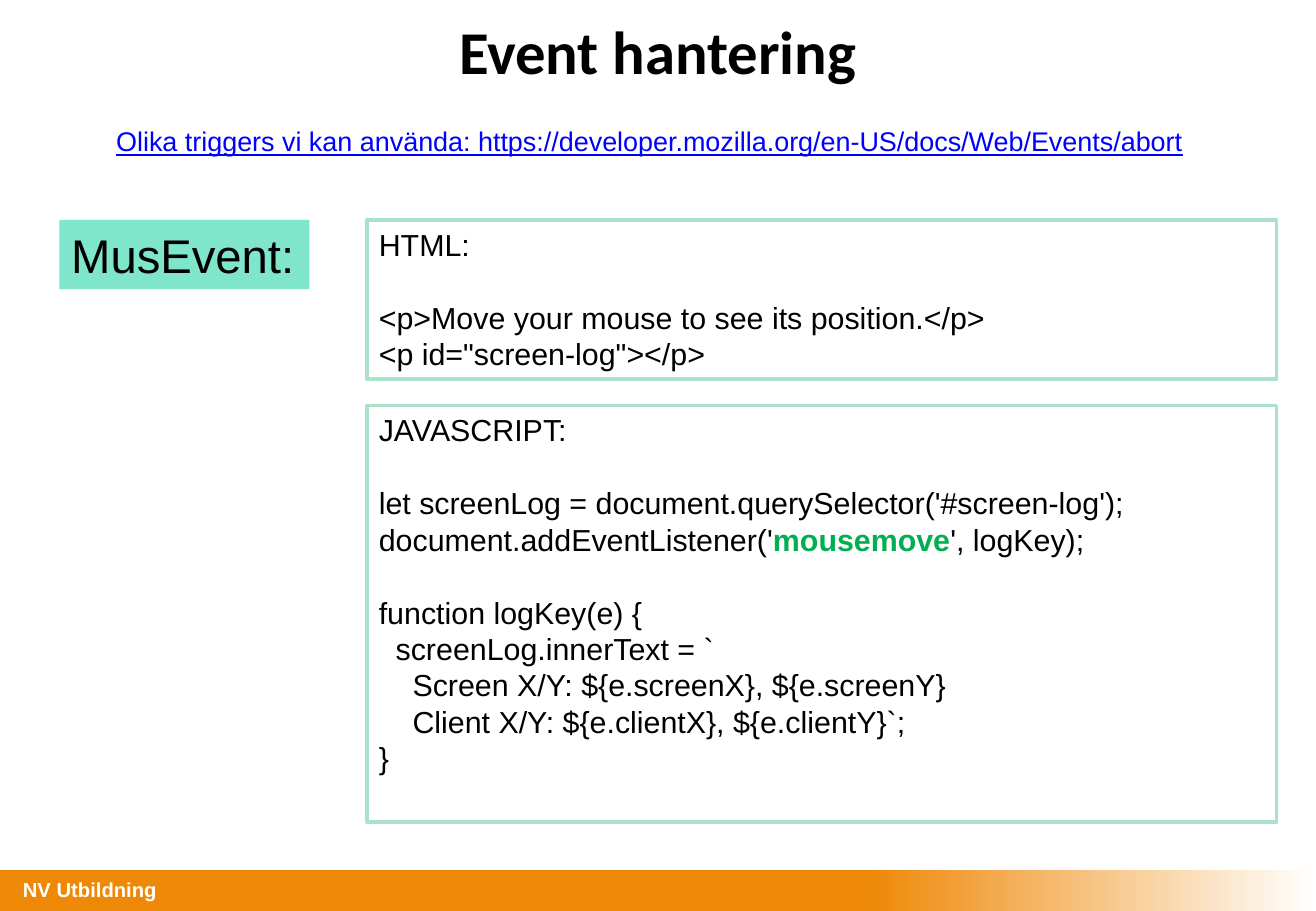
import copy
from dataclasses import dataclass

import pptx
import pptx.dml.color
import pptx.enum.dml
import pptx.enum.shapes
import pptx.enum.text
import pptx.oxml
import pptx.oxml.ns
import pptx.util

Cm = pptx.util.Cm
Pt = pptx.util.Pt
RGB = pptx.dml.color.RGBColor.from_string
qn = pptx.oxml.ns.qn
PP_ALIGN = pptx.enum.text.PP_ALIGN
MSO_ANCHOR = pptx.enum.text.MSO_ANCHOR


@dataclass(frozen=True)
class Theme:
    text: str = "000000"
    white: str = "FFFFFF"
    orange: str = "EE8807"
    mint: str = "00CC99"
    border: str = "AAE2CA"
    link: str = "0000FF"
    keyword: str = "00B050"
    body_font: str = "Arial"
    title_font: str = "Calibri"
    title: int = 36
    label: int = 28
    code: int = 18
    url: int = 16
    footer: int = 12
    code_line: float = 21.6


class Deck:
    def __init__(self, prs, theme):
        self.theme = theme
        self.s = prs.slides.add_slide(prs.slide_layouts[6])

    def rect(self, x, y, w, h, fill=None, line=None):
        sp = self.s.shapes.add_shape(
            pptx.enum.shapes.MSO_SHAPE.RECTANGLE, Cm(x), Cm(y), Cm(w), Cm(h))
        sp.shadow.inherit = False
        if fill:
            sp.fill.solid()
            sp.fill.fore_color.rgb = RGB(fill)
        if line:
            sp.line.color.rgb = RGB(line)
            sp.line.width = Pt(2)
        else:
            sp.line.fill.background()
        return sp

    def fading_bar(self, x, y, w, h):
        sp = self.rect(x, y, w, h)
        sp.fill.gradient()
        sp.fill.gradient_angle = 0
        gs = next(sp._element.iter(qn("a:gs")))
        gs.addnext(copy.deepcopy(gs))
        t = self.theme
        stops = [(0, t.orange), (0.66, t.orange), (1, t.white)]
        for stop, (position, color) in zip(sp.fill.gradient_stops, stops):
            stop.position = position
            stop.color.rgb = RGB(color)

    def set_opacity(self, sp, percent):
        color = next(sp._element.spPr.iter(qn("a:srgbClr")))
        alpha = pptx.oxml.parse_xml(
            f'<a:alpha {pptx.oxml.ns.nsdecls("a")} val="{percent * 1000}"/>')
        color.append(alpha)

    def textbox(self, x, y, w, h):
        return self.s.shapes.add_textbox(Cm(x), Cm(y), Cm(w), Cm(h))

    def style(self, p, size, color, font=None, bold=False):
        p.font.name = font or self.theme.body_font
        p.font.size = Pt(size)
        p.font.color.rgb = RGB(color)
        p.font.bold = bold

    def put_text(self, sp, text, size, color, wrap=False, inset=None,
                 align=PP_ALIGN.LEFT, anchor=MSO_ANCHOR.TOP, **font):
        tf = sp.text_frame
        tf.word_wrap = wrap
        tf.vertical_anchor = anchor
        if inset is not None:
            tf.margin_left = tf.margin_right = Cm(inset)
            tf.margin_top = tf.margin_bottom = Cm(inset)
        p = tf.paragraphs[0]
        p.text = text
        p.alignment = align
        self.style(p, size, color, **font)
        return p

    def code_box(self, y, h, blocks, keyword=None):
        t = self.theme
        tf = self.rect(7.67, y, 19.02, h, t.white, t.border).text_frame
        tf.word_wrap = True
        tf.vertical_anchor = MSO_ANCHOR.TOP
        for b, block in enumerate(blocks):
            for n, line in enumerate(block.split("\n")):
                p = tf.add_paragraph() if b or n else tf.paragraphs[0]
                p.alignment = PP_ALIGN.LEFT
                p.line_spacing = Pt(t.code_line)
                if b and not n:
                    p.space_before = Pt(t.code_line)
                self.style(p, t.code, t.text)
                before, found, after = line.partition(keyword or line)
                for part in filter(None, (before, found, after)):
                    r = p.add_run()
                    r.text = part
                    if part == keyword:
                        r.font.bold = True
                        r.font.color.rgb = RGB(t.keyword)


HTML = [
    "HTML:",
    '<p>Move your mouse to see its position.</p>\n<p id="screen-log"></p>',
]
JAVASCRIPT = [
    "JAVASCRIPT:",
    "let screenLog = document.querySelector('#screen-log');\n"
    "document.addEventListener('mousemove', logKey);",
    "function logKey(e) {\n"
    "  screenLog.innerText = `\n"
    "    Screen X/Y: ${e.screenX}, ${e.screenY}\n"
    "    Client X/Y: ${e.clientX}, ${e.clientY}`;\n"
    "}",
]


def main():
    prs = pptx.Presentation()
    prs.slide_width, prs.slide_height = Cm(27.51), Cm(19.05)
    t = Theme()
    deck = Deck(prs, t)

    deck.fading_bar(0, 18.19, 27.51, 0.86)
    deck.put_text(deck.textbox(0.48, 18.34, 8.84, 0.51), "NV Utbildning",
                  t.footer, t.white, wrap=True, inset=0, bold=True)

    deck.put_text(deck.rect(1.24, -0.03, 25.02, 2.18, t.white),
                  "Event hantering", t.title, t.text, wrap=True, inset=0.13,
                  align=PP_ALIGN.CENTER, anchor=MSO_ANCHOR.MIDDLE,
                  font=t.title_font, bold=True)

    p = deck.put_text(
        deck.textbox(2.18, 2.49, 23.14, 2.31),
        "Olika triggers vi kan använda: "
        "https://developer.mozilla.org/en-US/docs/Web/Events/abort",
        t.url, t.link)
    p.font.underline = True

    label = deck.rect(1.24, 4.6, 5.23, 1.45, t.mint)
    deck.set_opacity(label, 50)
    deck.put_text(label, "MusEvent:", t.label, t.text)

    deck.code_box(4.6, 3.33, HTML)
    deck.code_box(8.48, 8.71, JAVASCRIPT, keyword="mousemove")

    prs.save("out.pptx")


if __name__ == "__main__":
    main()
